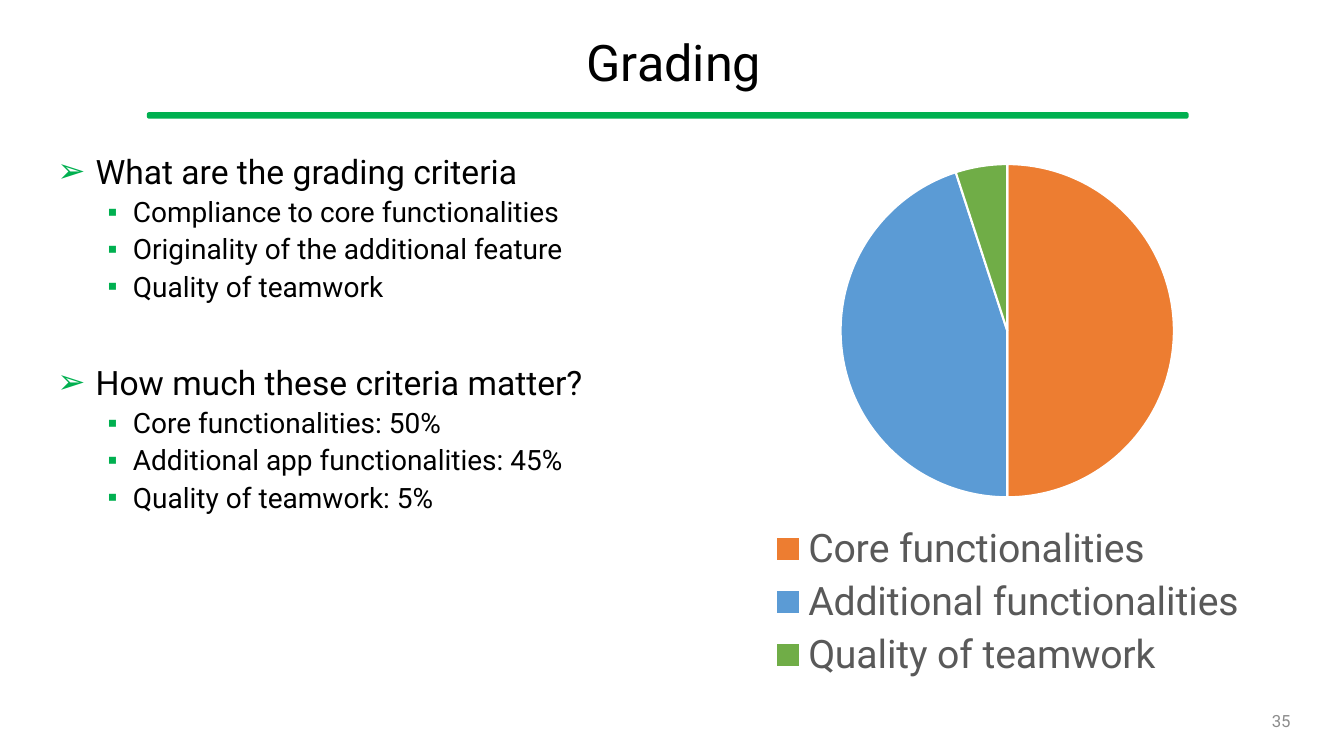
from dataclasses import dataclass

from lxml.etree import SubElement
from pptx import Presentation
from pptx.chart.data import CategoryChartData
from pptx.dml.color import RGBColor
from pptx.enum.chart import XL_CHART_TYPE, XL_LEGEND_POSITION
from pptx.enum.shapes import MSO_SHAPE
from pptx.enum.text import MSO_ANCHOR, MSO_AUTO_SIZE, PP_ALIGN
from pptx.oxml.ns import qn
from pptx.util import Inches, Pt


@dataclass(frozen=True)
class Theme:
    font: str = "Roboto"
    bullet_font: str = "Arial"
    ink: str = "000000"
    accent: str = "00B050"
    legend_ink: str = "595959"
    number_ink: str = "8C8C8C"
    white: str = "FFFFFF"
    slices: tuple = ("ED7D31", "5B9BD5", "70AD47")
    title_size: int = 36
    heading_size: int = 24
    item_size: int = 20
    legend_size: int = 28
    number_size: int = 12


@dataclass(frozen=True)
class Box:
    left: float
    top: float
    width: float
    height: float

    def emu(self):
        return [Inches(side) for side in (self.left, self.top, self.width, self.height)]

    def share(self, left, top, width, height):
        """Return a box given as shares of this one."""
        return Box(self.left + left * self.width, self.top + top * self.height,
                   width * self.width, height * self.height)


@dataclass(frozen=True)
class BulletLevel:
    mark: str
    size: int
    indent: float
    hanging: float
    space_before: int


THEME = Theme()
PAGE = Box(0, 0, 13.33, 7.5)
LEVELS = (
    BulletLevel("➢", THEME.heading_size, 0.38, 0.38, 10),
    BulletLevel("▪", THEME.item_size, 0.75, 0.25, 5),
)
SECTION_GAP = 45
LINE_SPACING = 0.9

CRITERIA = (
    ("What are the grading criteria", (
        "Compliance to core functionalities",
        "Originality of the additional feature",
        "Quality of teamwork")),
    ("How much these criteria matter?", (
        "Core functionalities: 50%",
        "Additional app functionalities: 45%",
        "Quality of teamwork: 5%")),
)
WEIGHTS = {
    "Core functionalities": 50,
    "Additional functionalities": 45,
    "Quality of teamwork": 5,
}


def color(value):
    return RGBColor.from_string(value)


def style_font(font, size, ink):
    font.name = THEME.font
    font.size = Pt(size)
    font.color.rgb = color(ink)


def add_run(paragraph, text, size, ink):
    run = paragraph.add_run()
    run.text = text
    style_font(run.font, size, ink)


def prepare_frame(shape, anchor):
    frame = shape.text_frame
    frame.word_wrap = True
    frame.auto_size = MSO_AUTO_SIZE.NONE
    frame.vertical_anchor = anchor
    return frame


def add_title(slide, box, text):
    # Title text
    title = slide.shapes.title
    title.left, title.top, title.width, title.height = box.share(0, 0, 1, 0.95).emu()
    paragraph = prepare_frame(title, MSO_ANCHOR.MIDDLE).paragraphs[0]
    paragraph.alignment = PP_ALIGN.CENTER
    paragraph.line_spacing = LINE_SPACING
    add_run(paragraph, text, THEME.title_size, THEME.ink)

    # Green rule under the title
    rule = slide.shapes.add_shape(MSO_SHAPE.ROUNDED_RECTANGLE,
                                  *box.share(0.08, 0.95, 0.83, 0.05).emu())
    rule.adjustments[0] = 0.26
    rule.shadow.inherit = False
    rule.fill.solid()
    rule.fill.fore_color.rgb = color(THEME.accent)
    rule.line.color.rgb = color(THEME.accent)
    rule.line.width = Pt(1)


def add_bullet(paragraph, level):
    properties = paragraph._p.get_or_add_pPr()
    properties.set("marL", str(Inches(level.indent)))
    properties.set("indent", str(-Inches(level.hanging)))
    bullet_color = SubElement(properties, qn("a:buClr"))
    SubElement(bullet_color, qn("a:srgbClr"), val=THEME.accent)
    SubElement(properties, qn("a:buFont"), typeface=THEME.bullet_font)
    SubElement(properties, qn("a:buChar"), char=level.mark)


def add_criteria(slide, box, sections):
    frame = prepare_frame(slide.shapes.add_textbox(*box.emu()), MSO_ANCHOR.TOP)
    lines = [(depth, text) for heading, items in sections
             for depth, text in [(0, heading), *((1, item) for item in items)]]
    for index, (depth, text) in enumerate(lines):
        level = LEVELS[depth]
        paragraph = frame.add_paragraph() if index else frame.paragraphs[0]
        paragraph.level = depth
        add_bullet(paragraph, level)
        paragraph.line_spacing = LINE_SPACING
        if index:
            paragraph.space_before = Pt(level.space_before if depth else SECTION_GAP)
        add_run(paragraph, text, level.size, THEME.ink)


def add_weight_pie(slide, box, weights):
    data = CategoryChartData()
    data.categories = list(weights)
    data.add_series("Series 1", list(weights.values()))
    chart = slide.shapes.add_chart(XL_CHART_TYPE.PIE, *box.emu(), data).chart
    chart.has_title = False

    # Legend below the pie
    chart.has_legend = True
    chart.legend.position = XL_LEGEND_POSITION.BOTTOM
    chart.legend.include_in_layout = False
    style_font(chart.legend.font, THEME.legend_size, THEME.legend_ink)

    # Slices
    plot = chart.plots[0]
    plot.vary_by_categories = True
    for index, fill in enumerate(THEME.slices):
        slice_format = plot.series[0].points[index].format
        slice_format.fill.solid()
        slice_format.fill.fore_color.rgb = color(fill)
        slice_format.line.color.rgb = color(THEME.white)
        slice_format.line.width = Pt(1.5)


def add_slide_number(slide, box, number):
    frame = prepare_frame(slide.shapes.add_textbox(*box.emu()), MSO_ANCHOR.MIDDLE)
    paragraph = frame.paragraphs[0]
    paragraph.alignment = PP_ALIGN.RIGHT
    add_run(paragraph, number, THEME.number_size, THEME.number_ink)


def main():
    presentation = Presentation()
    presentation.slide_width = Inches(PAGE.width)
    presentation.slide_height = Inches(PAGE.height)
    slide = presentation.slides.add_slide(presentation.slide_layouts[5])

    # Regions cut from the slide: margins and heights in inches
    left, right, body_top, body_height = 0.47, 12.9, 1.49, 5.31
    add_title(slide, Box(left, 0.18, right - left, 0.99), "Grading")
    add_criteria(slide, Box(left, body_top, 6.4, body_height), CRITERIA)
    add_weight_pie(slide, Box(6.97, body_top, 6.04, body_height), WEIGHTS)
    add_slide_number(slide, Box(right - 3.48, 6.95, 3.48, 0.4), "35")
    presentation.save("out.pptx")


if __name__ == "__main__":
    main()
